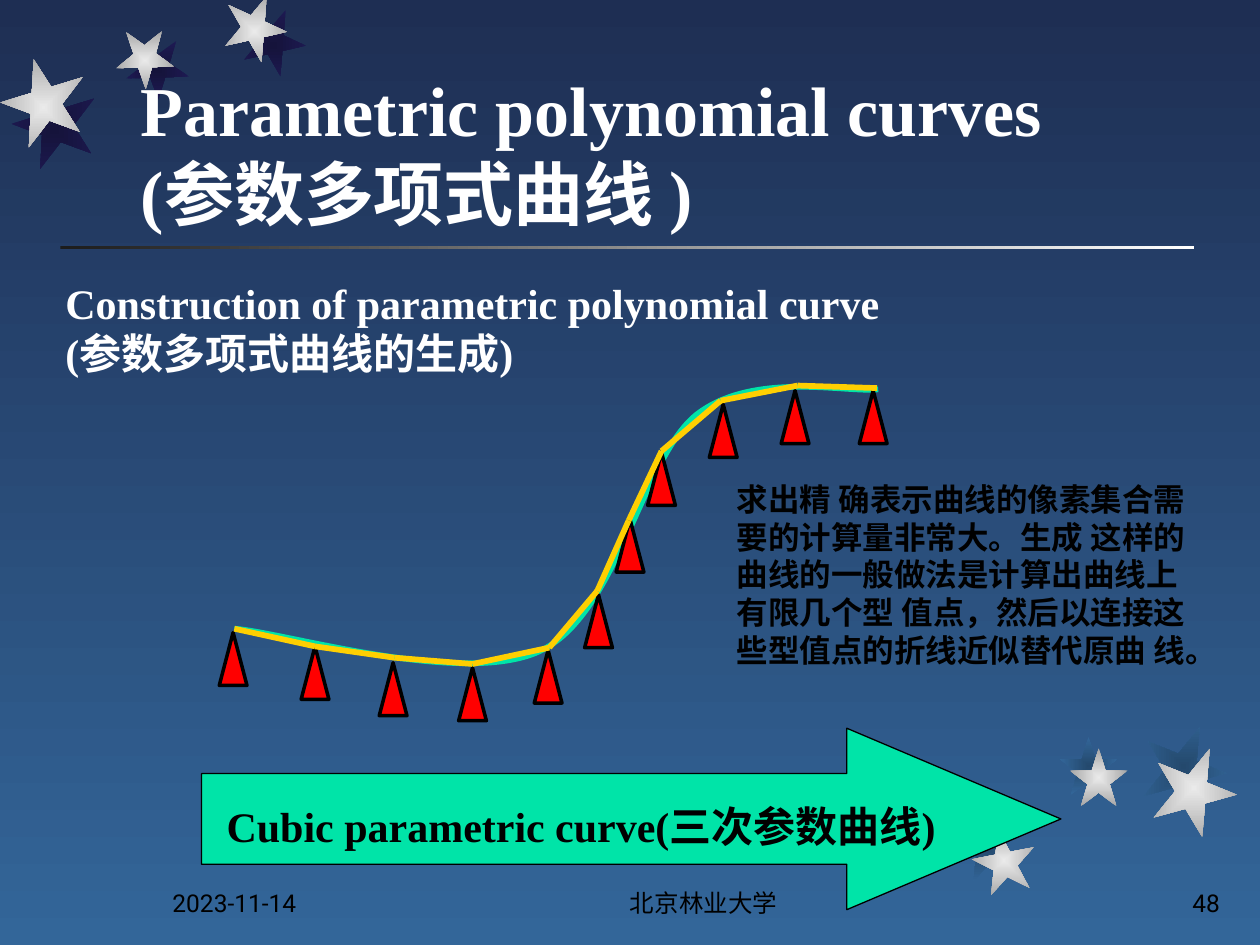
"""Build the slide on parametric polynomial curves."""
import itertools

import lxml.etree
import pptx
import pptx.dml.color
import pptx.enum.shapes
import pptx.enum.text
import pptx.oxml.ns
import pptx.util

Inches = pptx.util.Inches
Pt = pptx.util.Pt
SHAPE = pptx.enum.shapes.MSO_SHAPE
ALIGN = pptx.enum.text.PP_ALIGN
ANCHOR = pptx.enum.text.MSO_ANCHOR
qn = pptx.oxml.ns.qn

SERIF, SANS = "Times New Roman", "Roboto"
WHITE, BLACK, GREEN, RED, YELLOW = "FFFFFF", "000000", "00E4A8", "FF0000", "FFCF01"
SKY = ("1E2E53", "336699")
RULE = ("1C1C1C", "FFFFFF")
SILVER = ("EAEAEA", "A7A7A7")

STAR_GROUPS = [
    (("15133B", "1E1A53"), [(1.92, 0.11, 0.5, 0.5, 167.3), (1, 0.33, 0.5, 0.46, 178.3),
                            (0.1, 0.69, 0.67, 0.67, 200.3)]),
    (SILVER, [(1.77, 0, 0.5, 0.5, 167.3), (0.92, 0.25, 0.46, 0.46, 178.3),
              (0.01, 0.52, 0.67, 0.67, 200.3)]),
    (("24496D", "336699"), [(7.58, 6.47, 0.5, 0.5, 349), (8.41, 5.85, 0.46, 0.46, 0),
                            (9.06, 5.75, 0.67, 0.67, 22)]),
    (SILVER, [(7.72, 6.58, 0.5, 0.5, 349), (8.49, 5.94, 0.46, 0.46, 0),
              (9.14, 5.92, 0.67, 0.67, 22)]),
]
FOOTERS = [
    ("2023-11-14", (1.27, 6.83, 2.08, 0.5), ALIGN.LEFT),
    ("北京林业大学", (4, 6.83, 3.17, 0.5), ALIGN.CENTER),
    ("48", (7.7, 6.83, 2.08, 0.5), ALIGN.RIGHT),
]
TITLE = "Parametric polynomial curves\n(参数多项式曲线 )"
HEADING = ["Construction of parametric polynomial curve", "(参数多项式曲线的生成)"]
EXPLANATION = ("求出精 确表示曲线的像素集合需要的计算量非常大。生成 这样的曲线的一般做法是"
               "计算出曲线上有限几个型 值点，然后以连接这些型值点的折线近似替代原曲 线。")
ARROW_LABEL = "Cubic parametric curve(三次参数曲线)"

CURVE = [(6.97, 3.09), (6.73, 3.12), (5.98, 2.94), (5.53, 3.29), (5.09, 3.64),
         (4.9, 4.89), (4.28, 5.17), (3.67, 5.45), (2.26, 5.02), (1.86, 4.99)]
JOINTS = [(1.86, 4.99), (2.5, 5.13), (3.13, 5.22), (3.75, 5.27), (4.36, 5.14), (4.74, 4.69),
          (4.99, 4.13), (5.25, 3.58), (5.72, 3.18), (6.33, 3.06), (6.96, 3.08)]
MARKER_TIPS = [(1.85, 5.02), (2.5, 5.13), (3.12, 5.26), (3.75, 5.3), (4.35, 5.16), (4.75, 4.72),
               (5, 4.12), (5.25, 3.59), (5.74, 3.21), (6.31, 3.1), (6.93, 3.1)]
MARKER_WIDTH, MARKER_HEIGHT = 0.22, 0.42


def color(value):
    return pptx.dml.color.RGBColor.from_string(value)


def paint_gradient(fill, ends, angle=0, from_center=False):
    fill.gradient()
    for stop, end in zip(fill.gradient_stops, ends):
        stop.color.rgb = color(end)
    fill.gradient_angle = angle
    if from_center:
        linear = next(fill.gradient_stops[0].color._xFill.iterancestors(qn("a:gradFill"))).find(qn("a:lin")) \
            if hasattr(fill.gradient_stops[0].color, "_xFill") else None
        return linear


def center_gradient(shape):
    linear = next(shape.element.iter(qn("a:lin")))
    radial = lxml.etree.Element(qn("a:path"), path="shape")
    lxml.etree.SubElement(radial, qn("a:fillToRect"), l="50000", t="50000", r="50000", b="50000")
    linear.getparent().replace(linear, radial)


def draw_line(line, value, width):
    line.color.rgb = color(value)
    line.width = Pt(width)


def add_preset(slide, kind, box, fill=None, width=None):
    shape = slide.shapes.add_shape(kind, *map(Inches, box))
    shape.shadow.inherit = False
    if fill:
        shape.fill.solid()
        shape.fill.fore_color.rgb = color(fill)
    if width:
        draw_line(shape.line, BLACK, width)
    else:
        shape.line.fill.background()
    return shape


def add_text(slide, box, paragraphs, size, value=BLACK, font=SERIF, bold=True,
             anchor=ANCHOR.TOP, align=ALIGN.LEFT, wrap=True):
    frame = slide.shapes.add_textbox(*map(Inches, box)).text_frame
    frame.word_wrap = wrap
    frame.vertical_anchor = anchor
    for number, content in enumerate(paragraphs):
        paragraph = frame.add_paragraph() if number else frame.paragraphs[0]
        paragraph.alignment = align
        for row, words in enumerate(content.split("\n")):
            if row:
                paragraph.add_line_break()
            run = paragraph.add_run()
            run.text = words
            run.font.name = font
            run.font.size = Pt(size)
            run.font.bold = bold
            run.font.color.rgb = color(value)


def add_curve(slide, points):
    start, *controls = [(Inches(x), Inches(y)) for x, y in points]
    builder = slide.shapes.build_freeform(*start)
    builder.add_line_segments(controls, close=False)
    curve = builder.convert_to_shape()
    steps = list(curve.element.iter(qn("a:lnTo")))
    for first in range(0, len(steps), 3):
        bezier = lxml.etree.Element(qn("a:cubicBezTo"))
        steps[first].addprevious(bezier)
        for step in steps[first:first + 3]:
            bezier.append(step[0])
            step.getparent().remove(step)
    curve.shadow.inherit = False
    curve.fill.background()
    draw_line(curve.line, GREEN, 3.25)


def add_chord(slide, start, end):
    ends = map(Inches, (*start, *end))
    chord = slide.shapes.add_connector(pptx.enum.shapes.MSO_CONNECTOR.STRAIGHT, *ends)
    draw_line(chord.line, YELLOW, 3.25)
    lxml.etree.SubElement(chord.element.spPr, qn("a:effectLst"))


def main():
    deck = pptx.Presentation()
    deck.slide_width, deck.slide_height = Inches(10), Inches(7.5)
    slide = deck.slides.add_slide(deck.slide_layouts[6])
    paint_gradient(slide.background.fill, SKY, 270)

    rule = add_preset(slide, SHAPE.RECTANGLE, (0.48, 1.95, 9, 0.03))
    paint_gradient(rule.fill, RULE)
    for ends, stars in STAR_GROUPS:
        for *box, turn in stars:
            star = add_preset(slide, SHAPE.STAR_5_POINT, box)
            star.rotation = turn
            paint_gradient(star.fill, ends)
            center_gradient(star)

    for words, box, align in FOOTERS:
        add_text(slide, box, [words], 14, font=SANS, bold=False, anchor=ANCHOR.BOTTOM, align=align)

    arrow = add_preset(slide, SHAPE.RIGHT_ARROW, (1.6, 5.78, 6.82, 1.44), GREEN, 0.75)
    arrow.adjustments[0], arrow.adjustments[1] = 0.5, 1.18
    add_text(slide, (1.02, 0.31, 8.52, 1.6), [TITLE], 40, WHITE, anchor=ANCHOR.BOTTOM)

    add_curve(slide, CURVE)
    for x, y in MARKER_TIPS:
        box = (x - MARKER_WIDTH / 2, y, MARKER_WIDTH, MARKER_HEIGHT)
        add_preset(slide, SHAPE.ISOSCELES_TRIANGLE, box, RED, 2)
    for start, end in itertools.pairwise(JOINTS):
        add_chord(slide, start, end)

    add_text(slide, (0.42, 2.15, 6.66, 0.9), HEADING, 24, WHITE, wrap=False)
    add_text(slide, (5.75, 3.76, 3.93, 1.9), [EXPLANATION], 18)
    add_text(slide, (1.7, 6.24, 5.96, 0.56), [ARROW_LABEL], 24, anchor=ANCHOR.BOTTOM)
    deck.save("out.pptx")


if __name__ == "__main__":
    main()
